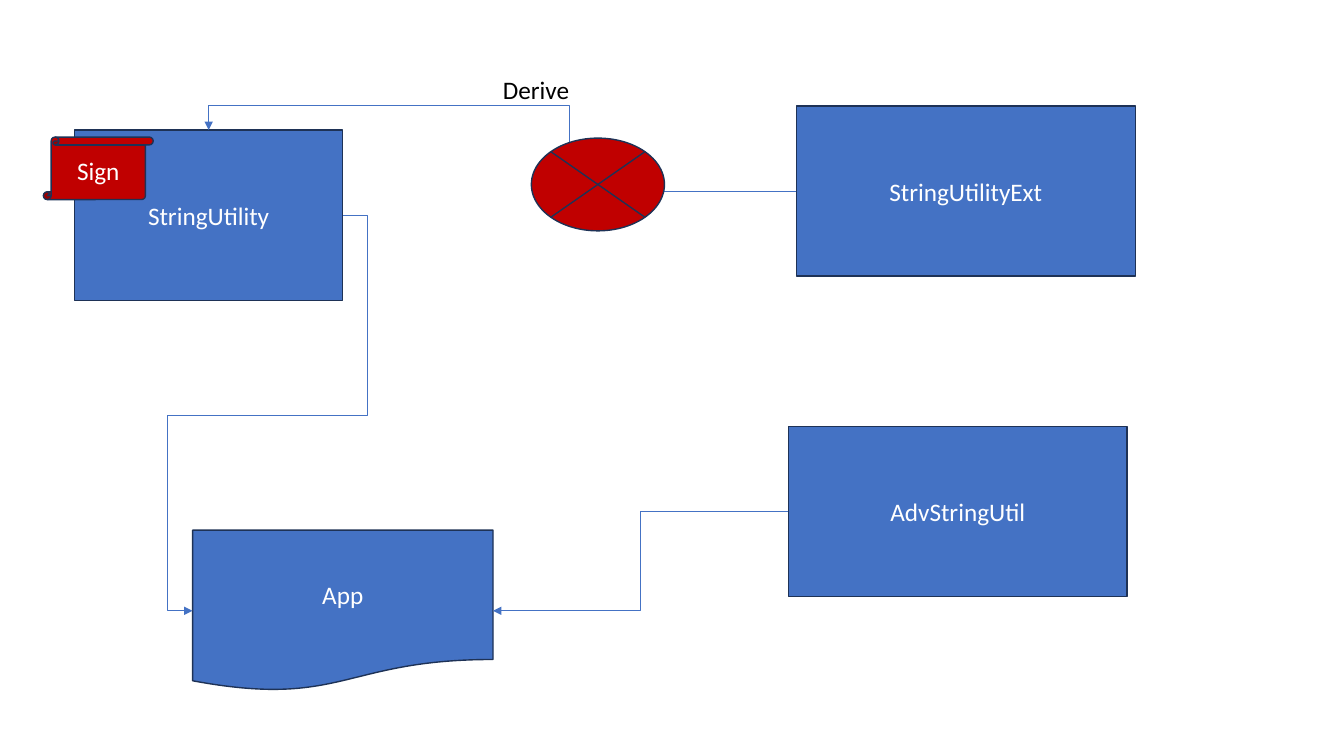
from lxml import etree
from pptx import Presentation, util as u
from pptx.dml.color import RGBColor
from pptx.enum import shapes, text
from pptx.oxml.ns import qn

BLUE, RED, NAVY, WHITE, BLACK = "4472C4", "C00000", "1E3256", "FFFFFF", "000000"
KIND = shapes.MSO_SHAPE
TOP, LEFT, RIGHT = 0, 1, 3
WIDE, HIGH = 3.36, 1.69

CLASSES = [
    ("StringUtility", KIND.RECTANGLE, (0.74, 1.29, 2.66, HIGH), BLUE),
    ("App", KIND.FLOWCHART_DOCUMENT, (1.91, 5.26, 2.98, 1.6), BLUE),
    ("StringUtilityExt", KIND.RECTANGLE, (7.9, 1.05, WIDE, HIGH), BLUE),
    ("AdvStringUtil", KIND.RECTANGLE, (7.82, 4.23, WIDE, HIGH), BLUE),
]
ARROWS = [
    ("StringUtility", RIGHT, "App", LEFT, (-0.167, 0.506, 1.167)),
    ("StringUtilityExt", LEFT, "StringUtility", TOP, (0.386, 1.408)),
    ("AdvStringUtil", LEFT, "App", RIGHT, (0.5,)),
]
MARKS = [
    ("Sign", KIND.VERTICAL_SCROLL, (0.43, 1.36, 1.09, 0.62), RED),
    ("", KIND.FLOWCHART_SUMMING_JUNCTION, (5.27, 1.37, 1.32, 0.92), RED),
]
LABEL = ("Derive", (4.89, 0.69, 1.53, 0.4))


def color(value):
    return RGBColor.from_string(value)


def inches(place):
    return [u.Inches(length) for length in place]


def write(box, words, ink, align, anchor):
    frame = box.text_frame
    for name, value in {"word_wrap": True, "vertical_anchor": anchor}.items():
        setattr(frame, name, value)
    para = frame.paragraphs[0]
    para.alignment = align
    span = para.add_run()
    span.text = words
    for name, value in {"name": "Calibri", "size": u.Pt(18)}.items():
        setattr(span.font, name, value)
    span.font.color.rgb = color(ink)


def draw_box(page, words, kind, place, fill):
    box = page.shapes.add_shape(kind, *inches(place))
    box.shadow.inherit = False
    box.fill.solid()
    box.fill.fore_color.rgb = color(fill)
    box.line.color.rgb = color(NAVY)
    box.line.width = u.Pt(1)
    if words:
        write(box, words, WHITE, text.PP_ALIGN.CENTER, text.MSO_ANCHOR.MIDDLE)
    return box


def draw_arrow(page, start, start_side, end, end_side, bends):
    arrow = page.shapes.add_connector(shapes.MSO_CONNECTOR.ELBOW, 0, 0, 0, 0)
    arrow.begin_connect(start, start_side)
    arrow.end_connect(end, end_side)
    arrow.line.color.rgb = color(BLUE)
    arrow.line.width = u.Pt(0.5)
    etree.SubElement(arrow.line._get_or_add_ln(), qn("a:tailEnd"), type="triangle")
    properties = arrow._element.spPr
    etree.SubElement(properties, qn("a:effectLst"))
    geometry = properties.find(qn("a:prstGeom"))
    geometry.set("prst", f"bentConnector{len(bends) + 2}")
    guides = geometry.find(qn("a:avLst"))
    for number, share in enumerate(bends, 1):
        etree.SubElement(guides, qn("a:gd"), name=f"adj{number}",
                         fmla=f"val {round(share * 100000)}")


deck = Presentation()
deck.slide_width, deck.slide_height = inches((13.33, 7.5))
page = deck.slides.add_slide(deck.slide_layouts[6])

boxes = {item[0]: draw_box(page, *item) for item in CLASSES}
for start, start_side, end, end_side, bends in ARROWS:
    draw_arrow(page, boxes[start], start_side, boxes[end], end_side, bends)

words, place = LABEL
label = page.shapes.add_textbox(*inches(place))
write(label, words, BLACK, text.PP_ALIGN.LEFT, text.MSO_ANCHOR.TOP)
for mark in MARKS:
    draw_box(page, *mark)

deck.save("out.pptx")
